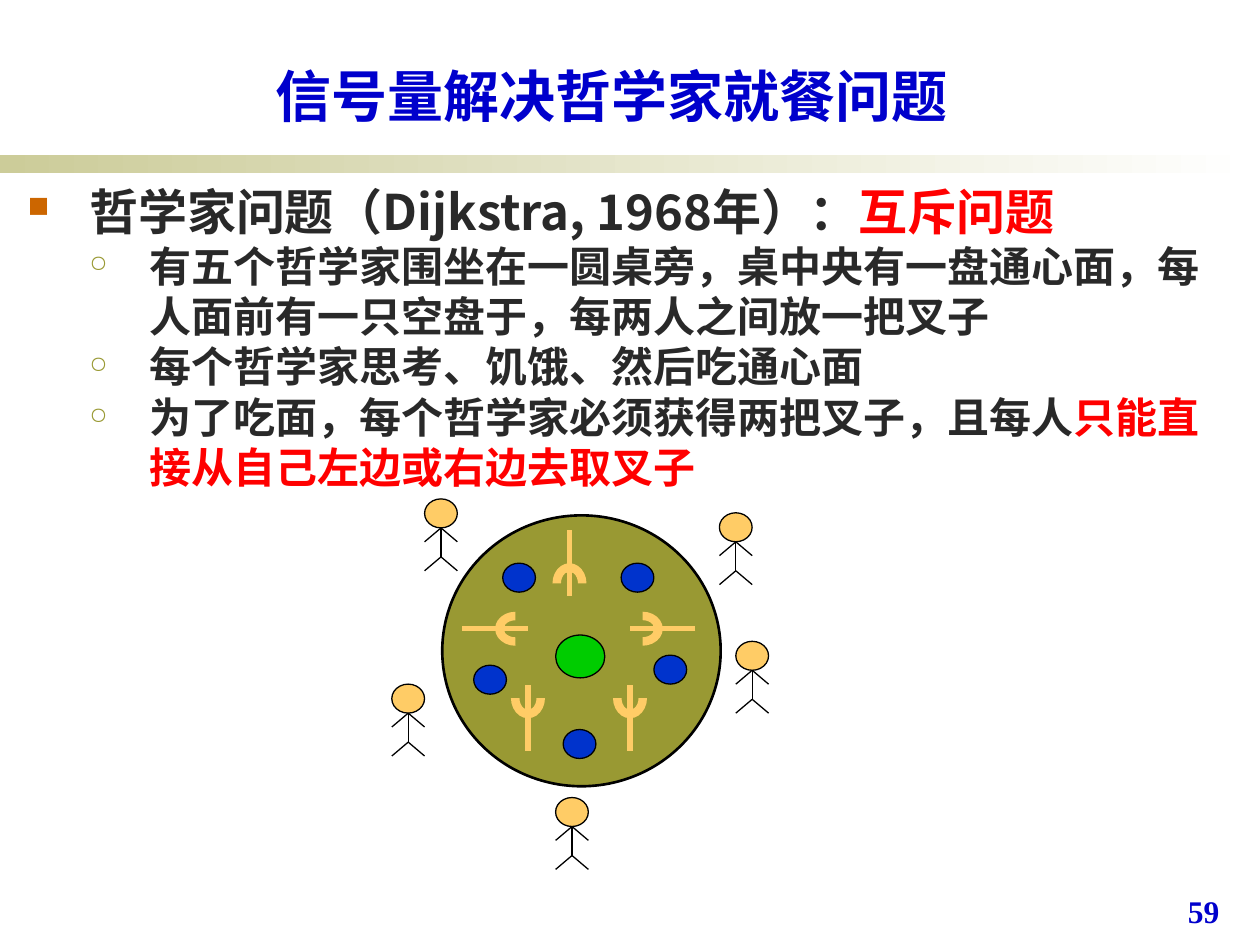
from dataclasses import dataclass
from math import cos, radians, sin

from lxml import etree
from pptx import Presentation
from pptx.dml.color import RGBColor
from pptx.enum.shapes import MSO_CONNECTOR, MSO_SHAPE
from pptx.enum.text import MSO_ANCHOR, PP_ALIGN
from pptx.oxml.ns import qn
from pptx.util import Pt

OVAL, RECT, ARC = MSO_SHAPE.OVAL, MSO_SHAPE.RECTANGLE, MSO_SHAPE.BLOCK_ARC
STRAIGHT = MSO_CONNECTOR.STRAIGHT
BOTTOM, TOP = MSO_ANCHOR.BOTTOM, MSO_ANCHOR.TOP
CENTER, LEFT = PP_ALIGN.CENTER, PP_ALIGN.LEFT
PX = 9144


@dataclass(frozen=True)
class Theme:
    font: str = "Noto Sans CJK JP"
    number_font: str = "Times New Roman"
    title: str = "0000CC"
    text: str = "292929"
    accent: str = "FF0000"
    bullet: str = "CC6600"
    olive: str = "999933"
    band: str = "CCCC99"
    white: str = "FFFFFF"
    black: str = "000000"
    plate: str = "0033CC"
    noodles: str = "00CC00"
    sand: str = "FFCC66"
    title_size: int = 32
    number_size: int = 18
    sizes: tuple = (28, 24)


T = Theme()
HEADING = "信号量解决哲学家就餐问题"
PARAGRAPHS = [
    (0, "哲学家问题（Dijkstra, 1968年）：", "互斥问题"),
    (1, "有五个哲学家围坐在一圆桌旁，桌中央有一盘通心面，每人面前有一只空盘于，每两人之间放一把叉子", ""),
    (1, "每个哲学家思考、饥饿、然后吃通心面", ""),
    (1, "为了吃面，每个哲学家必须获得两把叉子，且每人", "只能直接从自己左边或右边去取叉子"),
]
LEVELS = [
    {"char": "■", "color": T.bullet, "scale": 60, "margin": 49, "indent": -49},
    {"char": "○", "color": T.olive, "scale": 55, "margin": 97, "indent": -48},
]
PLATES = [(48, 38), (142, 38), (168, 111), (96, 170), (25, 119)]
SEATS = [(220, -2), (233, 100), (90, 224), (-14, -13), (-40, 134)]
FORKS = [(101, 54, 0), (58, 90, 270), (159, 90, 90), (149, 145, 180), (68, 145, 180)]


def px(*values):
    return [round(v * PX) for v in values]


def rgb(color):
    return RGBColor.from_string(color)


def apply(target, values):
    for name, value in values.items():
        setattr(target, name, value)


def add_run(p, text, size, color, font=T.font):
    r = p.add_run()
    r.text = text
    apply(r.font, {"name": font, "size": Pt(size), "bold": True})
    r.font.color.rgb = rgb(color)
    ea = etree.Element(qn("a:ea"), typeface=font)
    r.font._element.find(qn("a:latin")).addnext(ea)


def add_bullet(p, level):
    pPr = p._p.get_or_add_pPr()
    left, indent = px(level["margin"], level["indent"])
    pPr.set("marL", str(left))
    pPr.set("indent", str(indent))
    clr = etree.SubElement(pPr, qn("a:buClr"))
    etree.SubElement(clr, qn("a:srgbClr"), val=level["color"])
    etree.SubElement(pPr, qn("a:buSzPct"), val=str(level["scale"] * 1000))
    etree.SubElement(pPr, qn("a:buChar"), char=level["char"])


def add_filled(s, kind, box, fill, line_width=0.75):
    sp = s.shapes.add_shape(kind, *px(*box))
    sp.shadow.inherit = False
    sp.fill.solid()
    sp.fill.fore_color.rgb = rgb(fill)
    if line_width:
        sp.line.color.rgb = rgb(T.black)
        sp.line.width = Pt(line_width)
    else:
        sp.line.fill.background()
    return sp


def add_line(s, start, end, color=T.black, width=0.75):
    line = s.shapes.add_connector(STRAIGHT, *px(*start, *end))
    line.line.color.rgb = rgb(color)
    line.line.width = Pt(width)
    etree.SubElement(line._element.spPr, qn("a:effectLst"))


def add_band(s, box):
    sp = add_filled(s, RECT, box, T.band, 0)
    sp.fill.gradient()
    sp.fill.gradient_angle = 0
    for stop, color in zip(sp.fill.gradient_stops, (T.band, T.white)):
        stop.color.rgb = rgb(color)


def add_title(s, box):
    sp = s.shapes.title
    apply(sp, dict(zip(("left", "top", "width", "height"), px(*box))))
    tf = sp.text_frame
    apply(tf, {"vertical_anchor": BOTTOM, "word_wrap": True, "margin_bottom": px(5)[0]})
    tf.paragraphs[0].alignment = CENTER
    add_run(tf.paragraphs[0], HEADING, T.title_size, T.title)


def add_body(s, box):
    tf = s.shapes.add_textbox(*px(*box)).text_frame
    apply(tf, {"word_wrap": True, "vertical_anchor": TOP, "margin_top": px(5)[0]})
    for i, (depth, plain, stressed) in enumerate(PARAGRAPHS):
        p = tf.add_paragraph() if i else tf.paragraphs[0]
        add_bullet(p, LEVELS[depth])
        apply(p, {"level": depth, "alignment": LEFT, "line_spacing": 1.0})
        for text, color in ((plain, T.text), (stressed, T.accent)):
            if text:
                add_run(p, text, T.sizes[depth], color)


def add_philosopher(s, x, y):
    add_filled(s, OVAL, (x, y, 26, 23), T.sand)
    mid, neck, chest, hip, foot = x + 13, y + 23, y + 34, y + 46, y + 57
    add_line(s, (mid, neck), (mid, chest))
    add_line(s, (mid, chest), (mid, hip))
    for top, bottom in ((hip, foot), (neck, chest)):
        for side in (x, x + 26):
            add_line(s, (mid, top), (side, bottom))


def add_fork(s, x, y, rotation):
    dx, dy = sin(radians(rotation)), -cos(radians(rotation))
    add_line(s, (x + 42 * dx, y + 42 * dy), (x - 10 * dx, y - 10 * dy), T.sand, 3)
    prongs = add_filled(s, ARC, (x - 13.5, y - 16, 27, 32), T.sand, 0)
    prongs.rotation = rotation
    for i, value in enumerate((108, 0, 0.25)):
        prongs.adjustments[i] = value


def add_dining_table(s, box):
    x, y, _, _ = box
    add_filled(s, OVAL, box, T.olive, 1.5)
    for dx, dy in PLATES:
        add_filled(s, OVAL, (x + dx, y + dy, 26, 23), T.plate)
    for dx, dy in SEATS:
        add_philosopher(s, x + dx, y + dy)
    add_filled(s, OVAL, (x + 90, y + 95, 39, 34), T.noodles)
    for dx, dy, rotation in FORKS:
        add_fork(s, x + dx, y + dy, rotation)


def add_page_number(s, box):
    tf = s.shapes.add_textbox(*px(*box)).text_frame
    tf.word_wrap = True
    add_run(tf.paragraphs[0], "59", T.number_size, T.title, T.number_font)


def main():
    prs = Presentation()
    prs.slide_width, prs.slide_height = px(1000, 750)
    s = prs.slides.add_slide(prs.slide_layouts[5])
    add_band(s, (0, 123, 996, 14))
    add_title(s, (83, 44, 805, 63))
    add_body(s, (12, 139, 969, 543))
    add_dining_table(s, (351, 409, 221, 215))
    add_page_number(s, (933, 703, 64, 50))
    prs.save("out.pptx")


if __name__ == "__main__":
    main()
